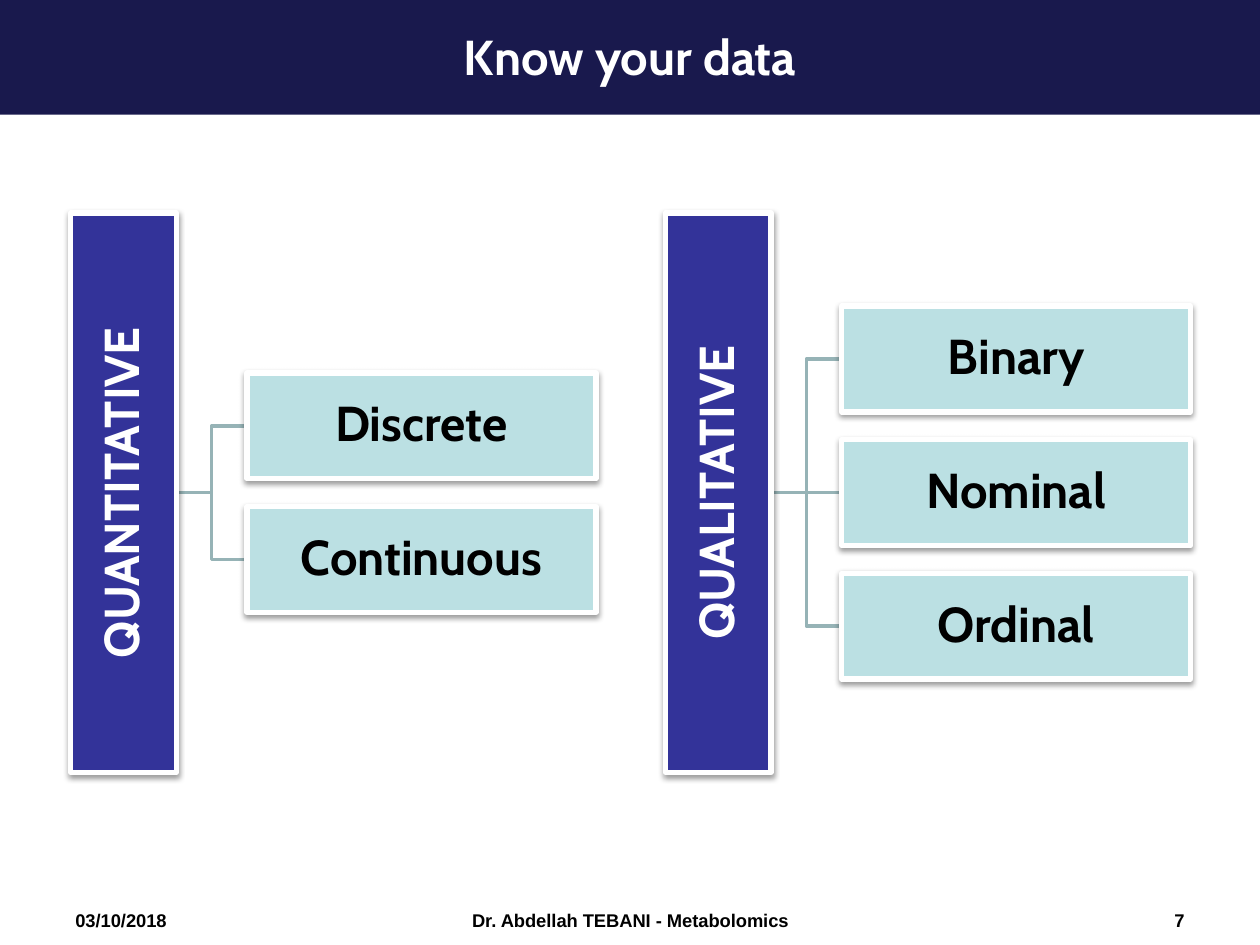
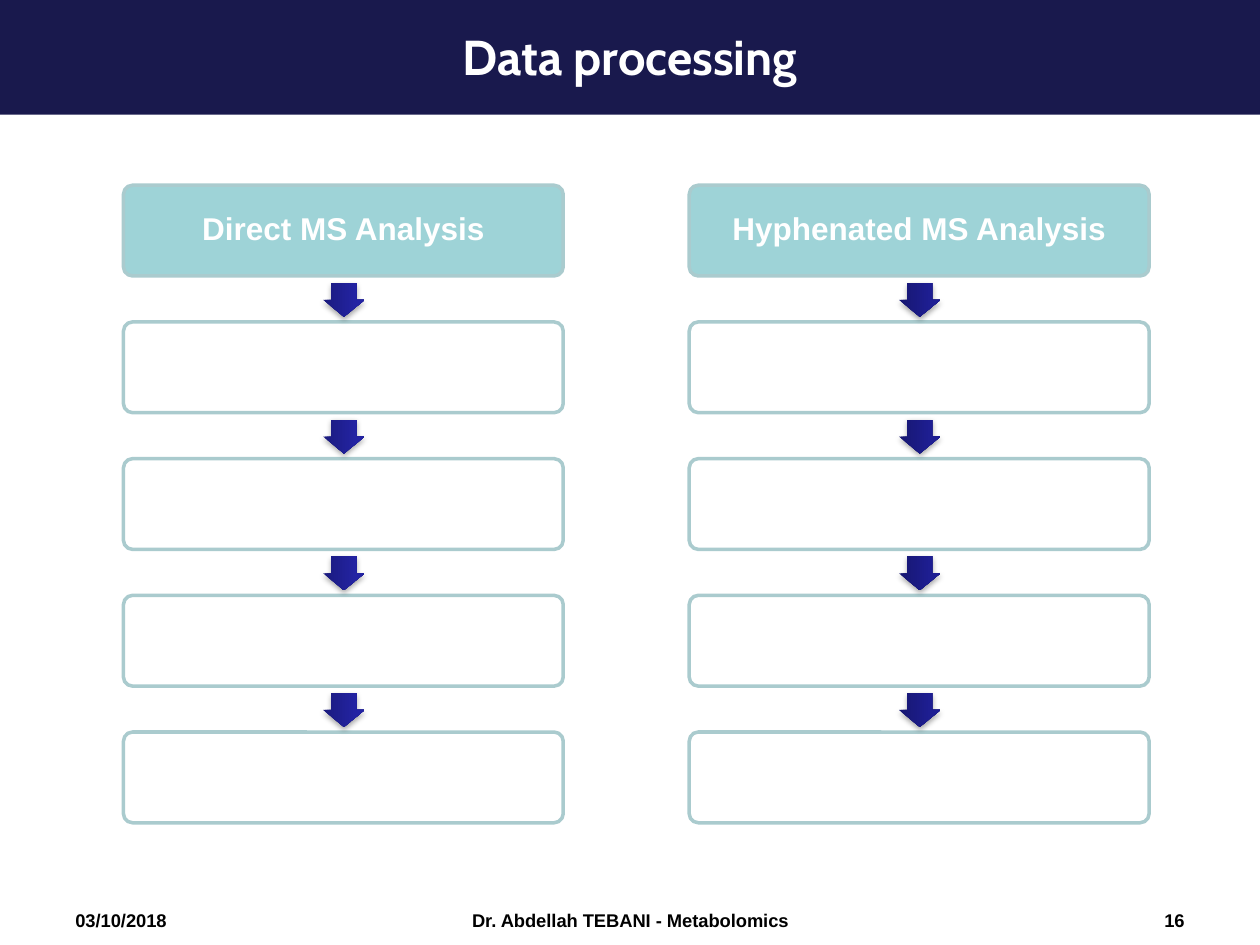
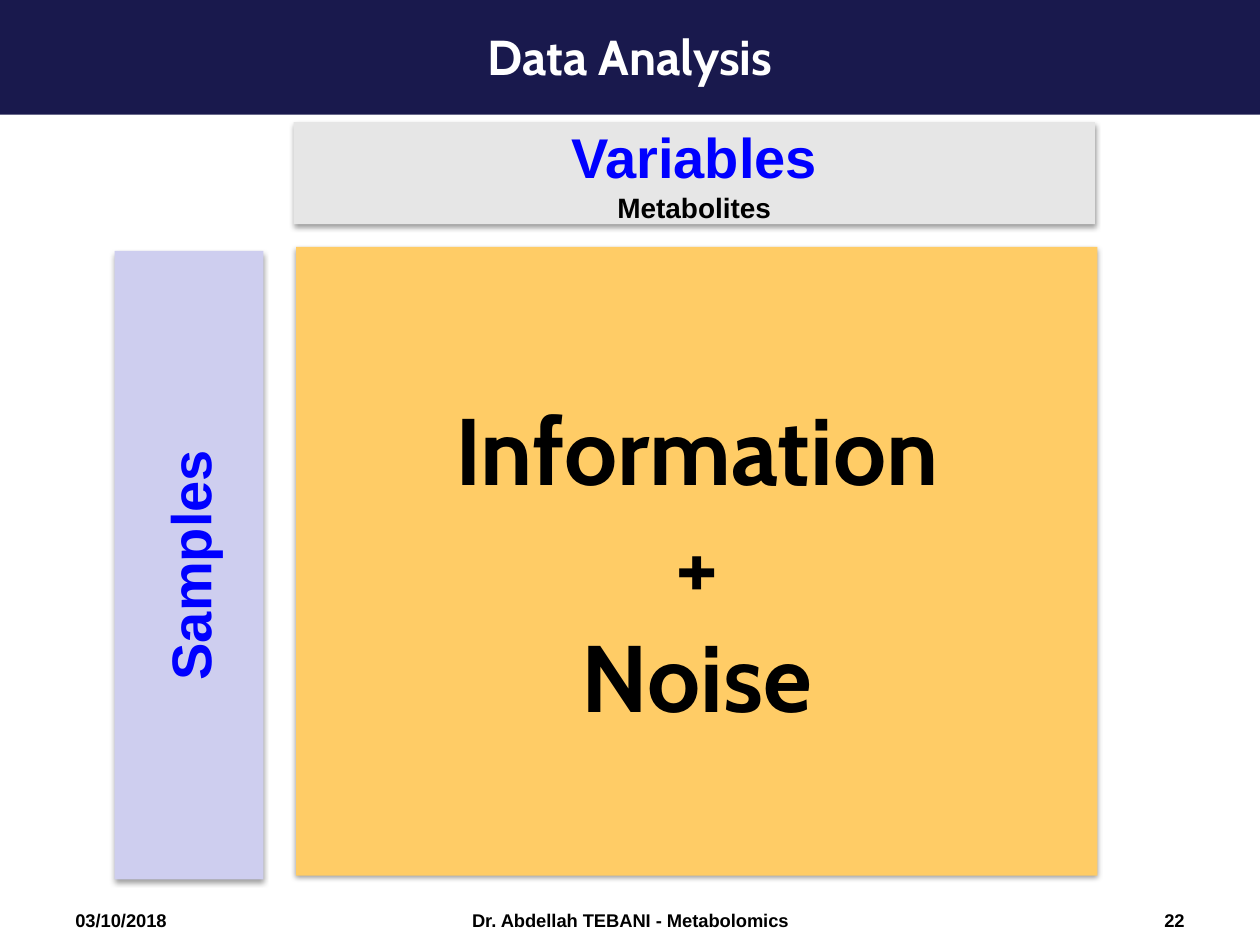
from pptx import Presentation
from pptx.dml.color import RGBColor
from pptx.enum import shapes, text
from pptx.oxml import parse_xml
from pptx.oxml.ns import nsdecls, qn
from pptx.util import Inches, Pt

KIND = shapes.MSO_SHAPE
ALIGN = text.PP_ALIGN
SANS, HEAD = "Arial", "Cabin"
BLACK, WHITE, NAVY, BLUE = "000000", "FFFFFF", "19194D", "0000FF"
INDIGO, AQUA, LINK = "333399", "BBE0E3", "96B3B6"
TEAL, EDGE = "9ED3D7", "AACBCE"
GOLD, GREY, LILAC = "FFCC66", "E6E6E6", "CECEEF"


def color(code):
    return RGBColor.from_string(code)


def write(frame, lines, align=ALIGN.CENTER, space=None):
    """Fill a frame with one paragraph per (words, size, font, colour)."""
    frame.word_wrap = True
    for i, (words, size, font, ink) in enumerate(lines):
        para = frame.add_paragraph() if i else frame.paragraphs[0]
        para.alignment = align
        para.line_spacing = space
        run = para.add_run()
        run.text = words
        run.font.size = Pt(size)
        run.font.name = font
        run.font.bold = True
        run.font.color.rgb = color(ink)


def shade(shape, alpha=38):
    """Add a soft shadow straight below a shape."""
    effects = shape.element.spPr.find(qn("a:effectLst"))
    effects.append(parse_xml(
        f'<a:outerShdw {nsdecls("a")} blurRad="40000" dist="21000" '
        'dir="5400000" rotWithShape="0"><a:srgbClr val="000000">'
        f'<a:alpha val="{alpha}000"/></a:srgbClr></a:outerShdw>'))


def block(slide, kind, place, fill=None, edge=None, width=2):
    shape = slide.shapes.add_shape(kind, *map(Inches, place))
    shape.shadow.inherit = False
    if fill:
        shape.fill.solid()
        shape.fill.fore_color.rgb = color(fill)
    if edge:
        shape.line.color.rgb = color(edge)
        shape.line.width = Pt(width)
    else:
        shape.line.fill.background()
    shape.text_frame.vertical_anchor = text.MSO_ANCHOR.MIDDLE
    return shape


def turn(shape):
    """Make the text of a shape read upwards."""
    shape.element.txBody.find(qn("a:bodyPr")).set("vert", "vert270")


def pad(frame, size):
    frame.margin_left = frame.margin_right = Inches(size)
    frame.margin_top = frame.margin_bottom = Inches(size)


def note(slide, left, width, words, align):
    box = slide.shapes.add_textbox(
        Inches(left), Inches(7.17), Inches(width), Inches(0.52))
    write(box.text_frame, [(words, 10.5, SANS, BLACK)], align)


def start(deck, title, number):
    """Add a slide with its title band and footer."""
    slide = deck.slides.add_slide(deck.slide_layouts[6])
    note(slide, 0.5, 2.33, "03/10/2018", ALIGN.LEFT)
    note(slide, 3.42, 3.17, "Dr. Abdellah TEBANI - Metabolomics", ALIGN.CENTER)
    note(slide, 7.17, 2.33, str(number), ALIGN.RIGHT)
    band = block(slide, KIND.RECTANGLE, (0, -0.03, 10, 0.94), NAVY)
    write(band.text_frame, [(title, 28, HEAD, WHITE)])
    return slide


def node(slide, place, words, fill, ink):
    shape = block(slide, KIND.RECTANGLE, place, fill, WHITE, 3)
    shade(shape)
    pad(shape.text_frame, 0.02)
    write(shape.text_frame, [(words, 28, HEAD, ink)], space=0.9)
    return shape


def link(slide, x1, y1, x2, y2):
    kind = shapes.MSO_CONNECTOR
    line = slide.shapes.add_connector(
        kind.STRAIGHT if y1 == y2 else kind.ELBOW,
        *map(Inches, (x1, y1, x2, y2)))
    line.line.color.rgb = color(LINK)
    line.line.width = Pt(2)
    line.element.spPr.append(parse_xml(f'<a:effectLst {nsdecls("a")}/>'))
    return line


def tree(slide, left, root, leaves):
    """Draw an upright root bar joined to a centred stack of leaves."""
    mid, thick, tall, gap, step = 3.91, 0.84, 4.44, 0.56, 1.06
    edge = left + thick
    rows = [mid + (i - (len(leaves) - 1) / 2) * step
            for i in range(len(leaves))]
    links = [link(slide, edge, mid, edge + gap, y) for y in rows]
    bar = node(slide, (left, mid - tall / 2, thick, tall), root, INDIGO, WHITE)
    turn(bar)
    for line, y, leaf in zip(links, rows, leaves):
        place = (edge + gap, y - thick / 2, 2.77, thick)
        box = node(slide, place, leaf, AQUA, BLACK)
        line.begin_connect(bar, 3)
        line.end_connect(box, 1)


def arrow(slide, mid, top, tones):
    shape = block(slide, KIND.DOWN_ARROW, (mid - 0.16, top, 0.33, 0.27))
    shape.adjustments[0] = 0.6
    shape.adjustments[1] = 0.5
    shape.fill.gradient()
    shape.fill.gradient_angle = 0
    for stop, spot, tone in zip(shape.fill.gradient_stops, (0, 0.8), tones):
        stop.position = spot
        stop.color.rgb = color(tone)
    shade(shape, 35)


def flow(slide, left, width, head, tones, count=5):
    """Draw a headed column of steps with arrows between them."""
    first, last, tall = 1.47, 5.81, 0.72
    step = (last - first) / (count - 1)
    for i in range(count):
        top = first + i * step
        box = block(slide, KIND.ROUNDED_RECTANGLE, (left, top, width, tall),
                    WHITE if i else TEAL, EDGE)
        box.adjustments[0] = 0.1
        if i:
            arrow(slide, left + width / 2, top - 0.31, tones)
        else:
            pad(box.text_frame, 0.09)
            write(box.text_frame, [(head, 18, SANS, WHITE)], space=0.9)


def panel(slide, place, fill, lines):
    shape = block(slide, KIND.RECTANGLE, place, fill)
    shade(shape)
    write(shape.text_frame, lines)
    return shape


def main():
    deck = Presentation()
    deck.slide_width, deck.slide_height = Inches(10), Inches(7.5)

    slide = start(deck, "Know your data", 7)
    tree(slide, 0.56, "QUANTITATIVE", ["Discrete", "Continuous"])
    tree(slide, 5.28, "QUALITATIVE", ["Binary", "Nominal", "Ordinal"])

    slide = start(deck, "Data processing", 16)
    flow(slide, 0.98, 3.49, "Direct MS Analysis", ("1B1B7E", "2323A3"))
    flow(slide, 5.47, 3.65, "Hyphenated MS Analysis", ("171771", "1E1E93"))

    slide = start(deck, "Data Analysis", 22)
    panel(slide, (2.35, 1.96, 6.36, 4.99), GOLD,
          [(word, 54, HEAD, BLACK) for word in ("Information", "+", "Noise")])
    panel(slide, (2.33, 0.97, 6.36, 0.81), GREY,
          [("Variables", 32, SANS, BLUE), ("Metabolites", 16, SANS, BLACK)])
    turn(panel(slide, (0.91, 1.99, 1.18, 4.99), LILAC,
               [("Samples", 32, SANS, BLUE)]))

    deck.save("out.pptx")


if __name__ == "__main__":
    main()
